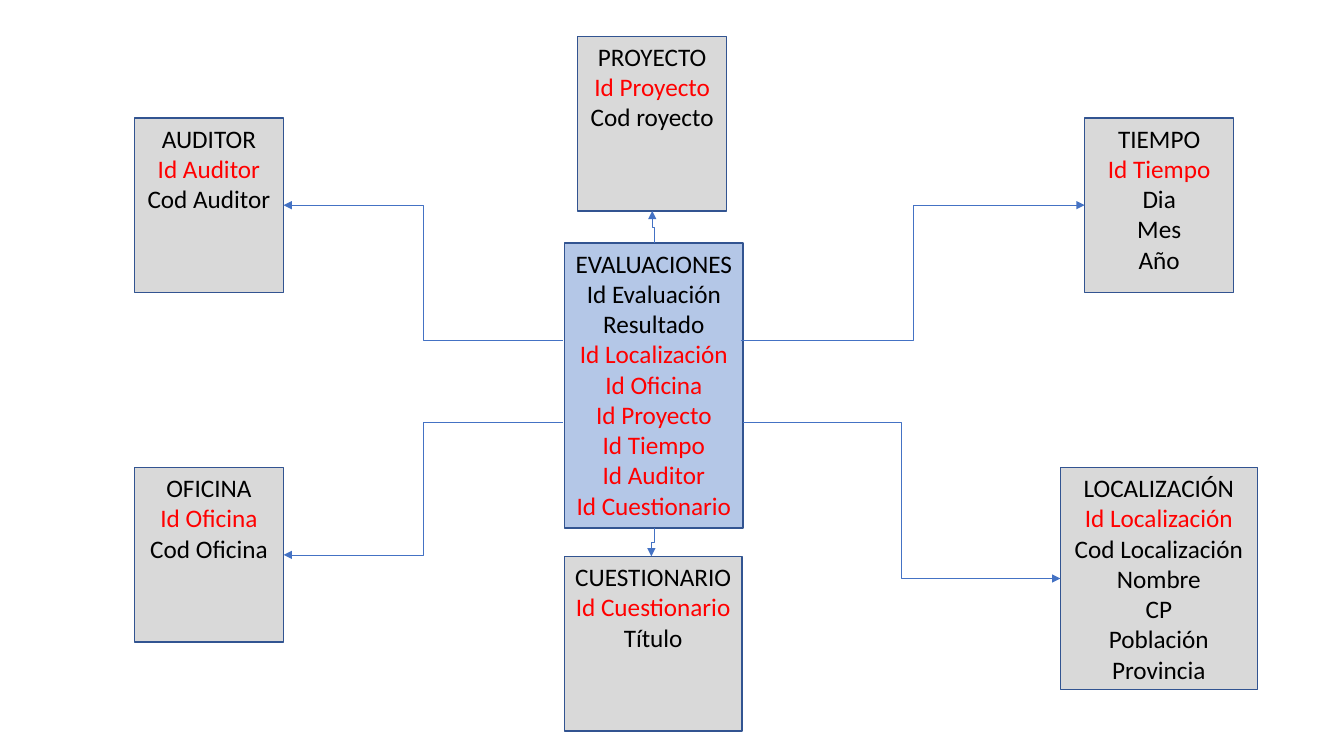
from dataclasses import dataclass
from typing import NamedTuple

from lxml.etree import SubElement
from pptx import Presentation
from pptx.dml.color import RGBColor
from pptx.enum.shapes import MSO_CONNECTOR as Conn, MSO_SHAPE as Shape
from pptx.enum.text import MSO_ANCHOR as Anchor, PP_ALIGN as Align
from pptx.oxml.ns import qn
from pptx.util import Inches, Pt


@dataclass(frozen=True)
class Theme:
    font: str = "Calibri"
    size: float = 18
    border_width: float = 1
    link_width: float = 0.5
    text: str = "000000"
    key: str = "FF0000"
    dimension: str = "D9D9D9"
    fact: str = "B4C7E7"
    border: str = "325491"
    link: str = "4472C4"


class Point(NamedTuple):
    x: float
    y: float


class Entity(NamedTuple):
    name: str
    col: float
    row: float
    cols: float
    rows: float
    keys: tuple[str, ...]
    after: tuple[str, ...] = ()
    before: tuple[str, ...] = ()

    def at(self, share: Point) -> Point:
        return Point(self.col + share.x * self.cols, self.row + share.y * self.rows)


class Link(NamedTuple):
    target: Entity
    start: Point
    end: Point


THEME = Theme()
COLS = ROWS = 100
WIDE, TALL = 11.1, 23.1
LEFT, TOP, BOTTOM = 10, 15.6, 61.85

FACT = Entity(
    "EVALUACIONES", 42, 32.15, 13.3, 37.7,
    ("Id Localización", "Id Oficina", "Id Proyecto", "Id Tiempo", "Id Auditor",
     "Id Cuestionario"),
    before=("Id Evaluación", "Resultado"),
)
AUDITOR = Entity("AUDITOR", LEFT, TOP, WIDE, TALL, ("Id Auditor",), ("Cod Auditor",))
OFICINA = Entity("OFICINA", LEFT, BOTTOM, WIDE, TALL, ("Id Oficina",), ("Cod Oficina",))
PROYECTO = Entity("PROYECTO", 42.98, 4.8, WIDE, TALL, ("Id Proyecto",), ("Cod royecto",))
TIEMPO = Entity("TIEMPO", 80.7, TOP, WIDE, TALL, ("Id Tiempo",), ("Dia", "Mes", "Año"))
CUESTIONARIO = Entity(
    "CUESTIONARIO", 42, 73.6, 13.2, TALL, ("Id Cuestionario",), ("Título",)
)
LOCALIZACION = Entity(
    "LOCALIZACIÓN", 78.9, BOTTOM, 14.65, 29.35, ("Id Localización",),
    ("Cod Localización", "Nombre", "CP", "Población", "Provincia"),
)
ENTITIES = (AUDITOR, FACT, LOCALIZACION, CUESTIONARIO, OFICINA, PROYECTO, TIEMPO)

UPPER, LOWER = 0.34, 0.63
LINKS = (
    Link(TIEMPO, Point(0.99, UPPER), Point(0, 0.5)),
    Link(LOCALIZACION, Point(1, LOWER), Point(0, 0.5)),
    Link(CUESTIONARIO, Point(0.5, 1), Point(0.49, 0)),
    Link(PROYECTO, Point(0.5, 0), Point(0.5, 1)),
    Link(AUDITOR, Point(-0.01, UPPER), Point(1, 0.5)),
    Link(OFICINA, Point(-0.01, LOWER), Point(1, 0.5)),
)

prs = Presentation()
prs.slide_width, prs.slide_height = Inches(13.33), Inches(7.5)
slide = prs.slides.add_slide(prs.slide_layouts[6])


def x(cols: float) -> int:
    return round(prs.slide_width * cols / COLS)


def y(rows: float) -> int:
    return round(prs.slide_height * rows / ROWS)


def rgb(value: str) -> RGBColor:
    return RGBColor.from_string(value)


def draw_entity(e: Entity) -> None:
    sp = slide.shapes.add_shape(Shape.RECTANGLE, x(e.col), y(e.row), x(e.cols), y(e.rows))
    sp.shadow.inherit = False
    sp.fill.solid()
    sp.fill.fore_color.rgb = rgb(THEME.fact if e is FACT else THEME.dimension)
    sp.line.color.rgb = rgb(THEME.border)
    sp.line.width = Pt(THEME.border_width)
    tf = sp.text_frame
    tf.word_wrap = True
    tf.vertical_anchor = Anchor.TOP
    tf.margin_left = tf.margin_right = Inches(0.05)
    for i, line in enumerate((e.name, *e.before, *e.keys, *e.after)):
        p = tf.add_paragraph() if i else tf.paragraphs[0]
        p.alignment = Align.CENTER
        r = p.add_run()
        r.text = line
        r.font.name = THEME.font
        r.font.size = Pt(THEME.size)
        r.font.color.rgb = rgb(THEME.key if line in e.keys else THEME.text)


def draw_link(link: Link) -> None:
    start, end = FACT.at(link.start), link.target.at(link.end)
    x1, y1, x2, y2 = x(start.x), y(start.y), x(end.x), y(end.y)
    vertical = link.end.y in (0, 1)
    turn = 0
    if vertical:
        down = 1 if y2 > y1 else -1
        turn = 90 * down % 360
        mid_x, mid_y = (x1 + x2) // 2, (y1 + y2) // 2
        half_w, half_h = abs(y2 - y1) // 2, down * (x1 - x2) // 2
        x1, x2 = mid_x - half_w, mid_x + half_w
        y1, y2 = mid_y - half_h, mid_y + half_h
    cxn = slide.shapes.add_connector(Conn.ELBOW, x1, y1, x2, y2)
    cxn.line.color.rgb = rgb(THEME.link)
    cxn.line.width = Pt(THEME.link_width)
    props = cxn._element.spPr
    if turn:
        props.find(qn("a:xfrm")).set("rot", str(turn * 60000))
    SubElement(props.find(qn("a:ln")), qn("a:tailEnd"), type="triangle")
    SubElement(props, qn("a:effectLst"))


for entity in ENTITIES:
    draw_entity(entity)
for link in LINKS:
    draw_link(link)

prs.save("out.pptx")
